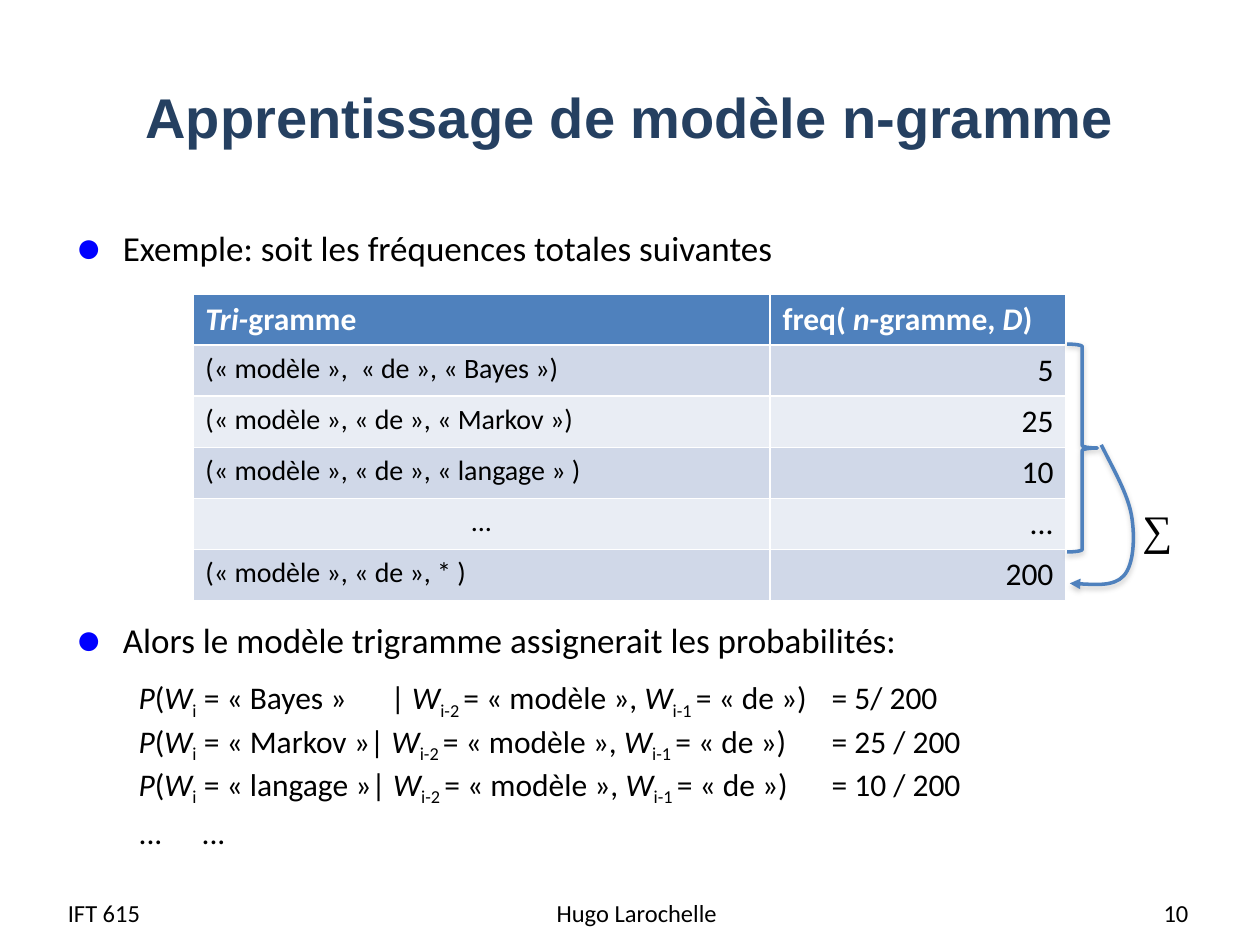
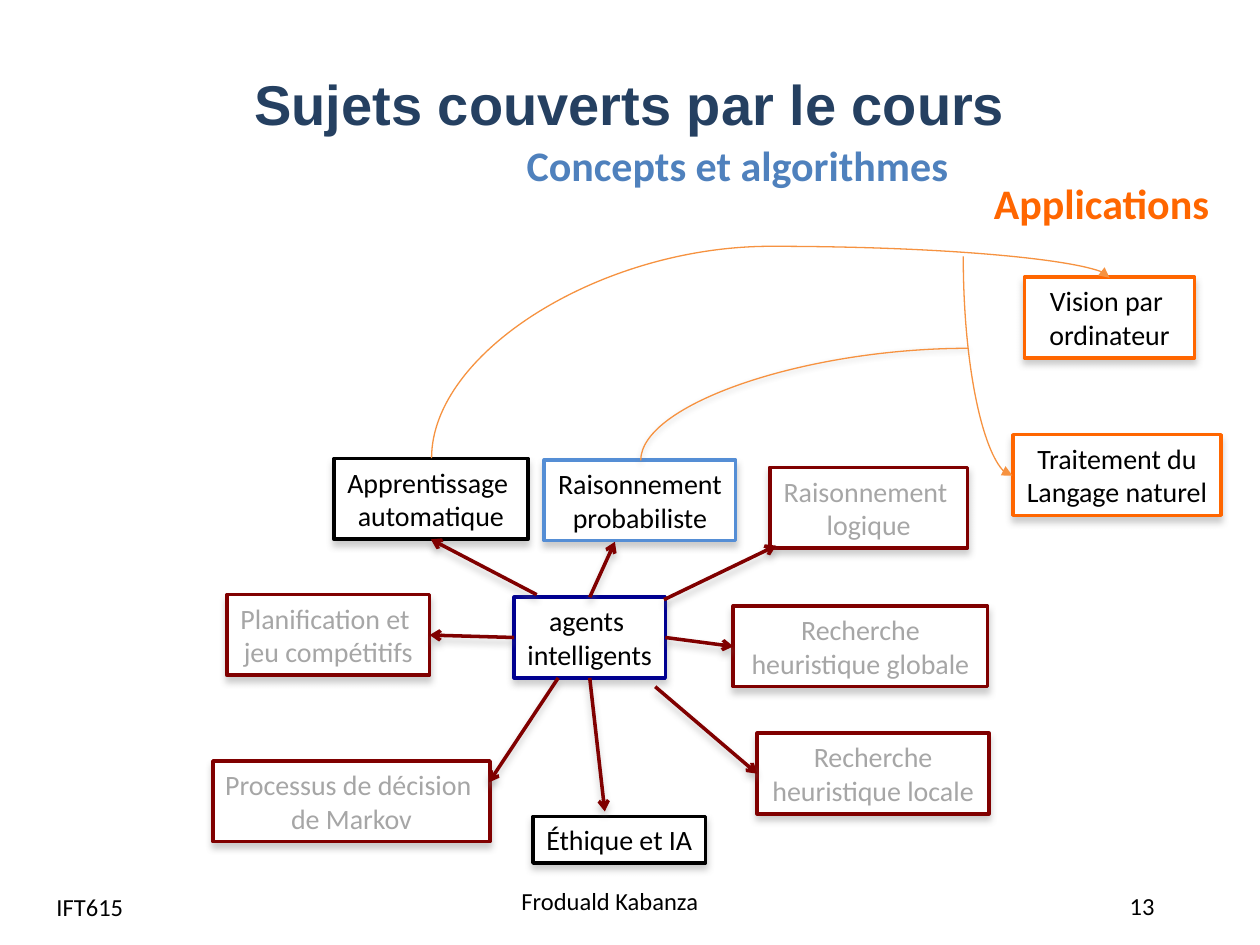
from lxml.etree import SubElement
from pptx import Presentation
from pptx.dml.color import RGBColor
from pptx.enum.shapes import MSO_CONNECTOR, MSO_SHAPE
from pptx.enum.text import MSO_ANCHOR, MSO_AUTO_SIZE, PP_ALIGN
from pptx.oxml.ns import qn
from pptx.util import Pt

COLORS = {
    "navy": "254061", "black": "000000", "white": "FFFFFF", "bullet": "0000FF",
    "blue": "4F81BD", "band": "D0D8E8", "light": "E9EDF4", "maroon": "800000",
    "gray": "A6A6A6", "agent": "000090", "sky": "558ED5", "orange": "FF6600",
    "curve": "F69240", "shadow": "808080",
}
LEFT, CENTER, RIGHT = PP_ALIGN.LEFT, PP_ALIGN.CENTER, PP_ALIGN.RIGHT

# Text formats
BASE = {"name": "Calibri", "size": Pt(16), "color": "black"}
TITLE = {"name": "Arial", "size": Pt(32), "bold": True, "color": "navy"}
FOOTER = BASE | {"size": Pt(14)}
LIST = BASE | {"size": Pt(20)}
FORMULA = BASE | {"size": Pt(18)}
HEADING = BASE | {"size": Pt(24), "bold": True}
HEADER = FORMULA | {"bold": True, "color": "white"}
ITALIC = {"italic": True}
SUB = {"baseline": "-25000"}

# Shadows: opacity, blur, distance
SOFT = (40, 4, 3)
FINE = (38, 3.1, 1.6)


def rgb(name):
    return RGBColor.from_string(COLORS[name])


def quote(word):
    return f"« {word} »"


class Deck:
    def __init__(self):
        self.prs = Presentation()
        self.prs.slide_width, self.prs.slide_height = Pt(720), Pt(540)
        self.s = None

    def slide(self, layout, title, box):
        self.s = self.prs.slides.add_slide(self.prs.slide_layouts[layout])
        tf = self.place(self.s.shapes.title, box)
        tf.vertical_anchor = MSO_ANCHOR.MIDDLE
        self.add_runs(tf.paragraphs[0], [(title, {})], TITLE, CENTER)

    def place(self, sp, box):
        sp.left, sp.top, sp.width, sp.height = map(Pt, box)
        tf = sp.text_frame
        tf.auto_size, tf.word_wrap = MSO_AUTO_SIZE.NONE, True
        return tf

    def add_runs(self, p, runs, fmt, align=LEFT):
        p.alignment = align
        for text, extra in runs:
            r = p.add_run()
            r.text = text
            for key, value in (fmt | extra).items():
                if key == "color":
                    r.font.color.rgb = rgb(value)
                elif key == "baseline":
                    r._r.get_or_add_rPr().set(key, value)
                else:
                    setattr(r.font, key, value)

    def text(self, text, box, fmt, align=LEFT, anchor=MSO_ANCHOR.TOP, wrap=True):
        sp = self.s.shapes.add_textbox(*map(Pt, box))
        tf = sp.text_frame
        tf.word_wrap, tf.vertical_anchor = wrap, anchor
        self.add_runs(tf.paragraphs[0], [(text, {})], fmt, align)

    def footer(self, text, box, align=LEFT):
        self.text(text, box, FOOTER, align, MSO_ANCHOR.MIDDLE)

    def item(self, p, runs, fmt, before=0, bullet=False, tabs=()):
        """One list paragraph: bulleted, or plain with tab stops."""
        p.space_before = Pt(before)
        pPr = p._p.get_or_add_pPr()
        pPr.set("marL", str(Pt(27) if bullet else 0))
        pPr.set("indent", str(Pt(-27) if bullet else 0))
        if bullet:
            clr = SubElement(pPr, qn("a:buClr"))
            SubElement(clr, qn("a:srgbClr"), val=COLORS["bullet"])
            SubElement(pPr, qn("a:buSzPct"), val="125000")
            SubElement(pPr, qn("a:buChar"), char="●")
        else:
            p.line_spacing = Pt(24.6)
            SubElement(pPr, qn("a:buNone"))
            stops = SubElement(pPr, qn("a:tabLst"))
            for pos in tabs:
                SubElement(stops, qn("a:tab"), pos=str(Pt(pos)), algn="l")
        self.add_runs(p, runs, fmt)

    def outline(self, sp, color, width=2, shadow=None, tail=None):
        """Line, arrowhead and shadow of a shape or connector."""
        sp.line.color.rgb, sp.line.width = rgb(color), Pt(width)
        spPr = sp._element.spPr
        if tail:
            SubElement(spPr.find(qn("a:ln")), qn("a:tailEnd"), type=tail)
        effects = SubElement(spPr, qn("a:effectLst"))
        if shadow:
            alpha, blur, dist = shadow
            outer = SubElement(effects, qn("a:outerShdw"), blurRad=str(Pt(blur)),
                               dist=str(Pt(dist)), dir="5400000", rotWithShape="0")
            clr = SubElement(outer, qn("a:srgbClr"), val=COLORS["shadow"])
            SubElement(clr, qn("a:alpha"), val=str(alpha * 1000))

    def box(self, text, box, line, color="black", wrap=False):
        sp = self.s.shapes.add_shape(MSO_SHAPE.RECTANGLE, *map(Pt, box))
        sp.fill.solid()
        sp.fill.fore_color.rgb = rgb("white")
        self.outline(sp, line, shadow=SOFT)
        tf = sp.text_frame
        tf.word_wrap = wrap
        for i, row in enumerate(text.split("\n")):
            p = tf.add_paragraph() if i else tf.paragraphs[0]
            self.add_runs(p, [(row, {})], BASE | {"color": color}, CENTER)

    def arrow(self, *ends):
        sp = self.s.shapes.add_connector(MSO_CONNECTOR.STRAIGHT, *map(Pt, ends))
        self.outline(sp, "maroon", shadow=SOFT, tail="arrow")

    def curve(self, ends, turn, preset, bend=None, tail="triangle", shadow=None):
        """Curved connector laid out unrotated, then turned by degrees."""
        sp = self.s.shapes.add_connector(MSO_CONNECTOR.CURVE, *map(Pt, ends))
        spPr = sp._element.spPr
        spPr.find(qn("a:xfrm")).set("rot", str(turn * 60000))
        geom = spPr.find(qn("a:prstGeom"))
        geom.set("prst", preset)
        if bend:
            SubElement(geom.find(qn("a:avLst")), qn("a:gd"), name="adj1", fmla=f"val {bend}")
        self.outline(sp, "curve", 0.75, shadow, tail)

    def brace(self, box):
        sp = self.s.shapes.add_shape(MSO_SHAPE.RIGHT_BRACE, *map(Pt, box))
        sp.fill.background()
        self.outline(sp, "blue", shadow=FINE)

    def bezier(self, start, points, color):
        """Freeform whose points, three by three, are cubic curves."""
        builder = self.s.shapes.build_freeform(*map(Pt, start))
        builder.add_line_segments([tuple(map(Pt, pt)) for pt in points], close=False)
        sp = builder.convert_to_shape()
        trace = next(sp._element.iter(qn("a:path")))
        segments = trace.findall(qn("a:lnTo"))
        for i in range(0, len(segments), 3):
            cubic = SubElement(trace, qn("a:cubicBezTo"))
            for seg in segments[i:i + 3]:
                cubic.append(seg[0])
                trace.remove(seg)
        sp.fill.background()
        self.outline(sp, color, shadow=FINE, tail="triangle")

    def table(self, box, widths, header, rows):
        tbl = self.s.shapes.add_table(len(rows) + 1, len(widths), *map(Pt, box)).table
        for col, width in zip(tbl.columns, widths):
            col.width = Pt(width)
        for i, row in enumerate([header] + rows):
            tbl.rows[i].height = Pt(box[3] / (len(rows) + 1))
            fill = "blue" if i == 0 else "band" if i % 2 else "light"
            for j, content in enumerate(row):
                cell = tbl.cell(i, j)
                cell.fill.solid()
                cell.fill.fore_color.rgb = rgb(fill)
                p = cell.text_frame.paragraphs[0]
                if i == 0:
                    self.add_runs(p, content, HEADER)
                else:
                    align = RIGHT if j else CENTER if content == "..." else LEFT
                    self.add_runs(p, [(content, {})], FORMULA if j else BASE, align)


def formula(word, gap, result):
    """Runs of one trigram probability."""
    return [
        ("\t", {}), ("P", ITALIC), ("(", {}), ("W", ITALIC), ("i", SUB),
        (f" = {quote(word)}{gap}| ", {}), ("W", ITALIC), ("i-2 ", SUB),
        (f"= {quote('modèle')}, ", {}), ("W", ITALIC), ("i-1 ", SUB),
        (f"= {quote('de')})\t= {result}", {}),
    ]


def ngram_slide(deck):
    deck.slide(1, "Apprentissage de modèle n-gramme", (36, 21.6, 648, 90))

    # Bullets and formulas
    tf = deck.place(deck.s.placeholders[1], (36, 126, 664.6, 356.4))
    deck.item(tf.paragraphs[0], [("Exemple: soit les fréquences totales suivantes", {})],
              LIST, bullet=True)
    deck.item(tf.add_paragraph(),
              [("Alors le modèle trigramme assignerait les probabilités:", {})],
              LIST, before=200, bullet=True)
    formulas = [("Bayes", "\t", "5/ 200"), ("Markov", "", "25 / 200"),
                ("langage", "", "10 / 200")]
    for i, parts in enumerate(formulas):
        deck.item(tf.add_paragraph(), formula(*parts), FORMULA,
                  before=0 if i else 10, tabs=(36, 168, 432))
    deck.item(tf.add_paragraph(), [("\t...\t...", {})], FORMULA, tabs=(217, 469))

    # Footer
    deck.footer("IFT 615", (31.7, 506.9, 139, 28.8))
    deck.footer("Hugo Larochelle", (249.8, 506.9, 228.2, 28.8), CENTER)
    deck.footer("10", (518.4, 506.9, 167.8, 28.8), RIGHT)

    # Frequency table
    start = f"({quote('modèle')}, {quote('de')}, "
    deck.table(
        (110.2, 168, 499, 175.2), (329.8, 169.2),
        [[("Tri-", ITALIC), ("gramme", {})],
         [("freq( ", {}), ("n", ITALIC), ("-gramme, ", {}), ("D", ITALIC), (")", {})]],
        [(f"({quote('modèle')},  {quote('de')}, {quote('Bayes')})", "5"),
         (f"{start}{quote('Markov')})", "25"),
         (f"{start}{quote('langage')} )", "10"),
         ("...", "..."),
         (f"{start}* )", "200")])

    # Sum of the rows
    deck.brace((609.8, 196.6, 17.3, 118.8))
    deck.text("∑", (645.8, 284.4, 31.7, 36.7),
              HEADING | {"name": "Times New Roman", "bold": False}, wrap=False)
    deck.bezier((629.3, 254.2),
                [(636.5, 268.6), (644.4, 282.2), (646.6, 294.5),
                 (648.7, 306.7), (648, 322.6), (642.2, 329),
                 (636.5, 335.5), (611.3, 333.4), (611.3, 333.4)], "blue")


def topics_slide(deck):
    deck.slide(5, "Sujets couverts par le cours", (18, 31, 684, 55.4))

    # Footer
    deck.footer("Froduald Kabanza", (290.9, 500.4, 248.4, 28.8))
    deck.footer("13", (623.5, 508.3, 58.3, 18.7), CENTER)
    deck.footer("IFT615", (25.2, 504, 167.8, 28.8))

    # Topics: text, left, top, width, line, text colour, wrap
    topics = [
        ("agents \nintelligents", 293.8, 341.3, 86.4, "agent", "black", False),
        ("Raisonnement \nlogique", 439.9, 267.1, 113, "maroon", "gray", False),
        ("Apprentissage \nautomatique", 190.8, 262.1, 110.9, "black", "black", False),
        ("Processus de décision \nde Markov", 121.7, 434.9, 158.4, "maroon", "gray", False),
        ("Planification et \njeu compétitifs", 129.6, 339.8, 115.9, "maroon", "gray", False),
        ("Recherche heuristique locale", 432.7, 419, 132.5, "maroon", "gray", True),
        ("Recherche heuristique globale", 419, 346.3, 145.4, "maroon", "gray", True),
        ("Éthique et IA", 304.6, 466.6, 98.6, "black", "black", False),
        ("Raisonnement\nprobabiliste", 311, 262.8, 109.4, "sky", "black", False),
        ("Vision par \nordinateur", 585.4, 158.4, 97.2, "orange", "black", False),
        ("Traitement du\nLangage naturel", 578.9, 248.4, 118.8, "orange", "black", False),
    ]
    for text, x, y, w, line, color, wrap in topics:
        height = 46.1 if wrap or "\n" in text else 26.6
        deck.box(text, (x, y, w, height), line, color, wrap)

    # Arrows from the agents
    for ends in [(337, 341.3, 351.4, 309.6), (306.7, 339.8, 246.2, 308.2),
                 (380.2, 364.3, 419, 369.4), (374.4, 392.4, 432.7, 442.1),
                 (337, 387.4, 345.6, 463.7), (293.8, 364.3, 245.5, 362.9),
                 (319, 387.4, 279.4, 447.1), (379.4, 342.7, 443.5, 311.8)]:
        deck.arrow(*ends)

    # Headings
    deck.text("Applications", (560.9, 97.9, 139, 36), HEADING | {"color": "orange"}, wrap=False)
    deck.text("Concepts et algorithmes", (293.8, 76.3, 257.8, 36),
              HEADING | {"color": "blue"}, wrap=False)

    # Links to the applications
    deck.curve((491.8, 404, 388.8, 16.6), 90, "curvedConnector3", bend=117500)
    deck.curve((627.1, 195.1, 501.8, 223.2), 270, "curvedConnector2")
    deck.curve((491.8, 324.7, 427.7, 137.5), 90, "curvedConnector2", tail=None, shadow=FINE)


def main():
    deck = Deck()
    ngram_slide(deck)
    topics_slide(deck)
    deck.prs.save("out.pptx")


if __name__ == "__main__":
    main()
